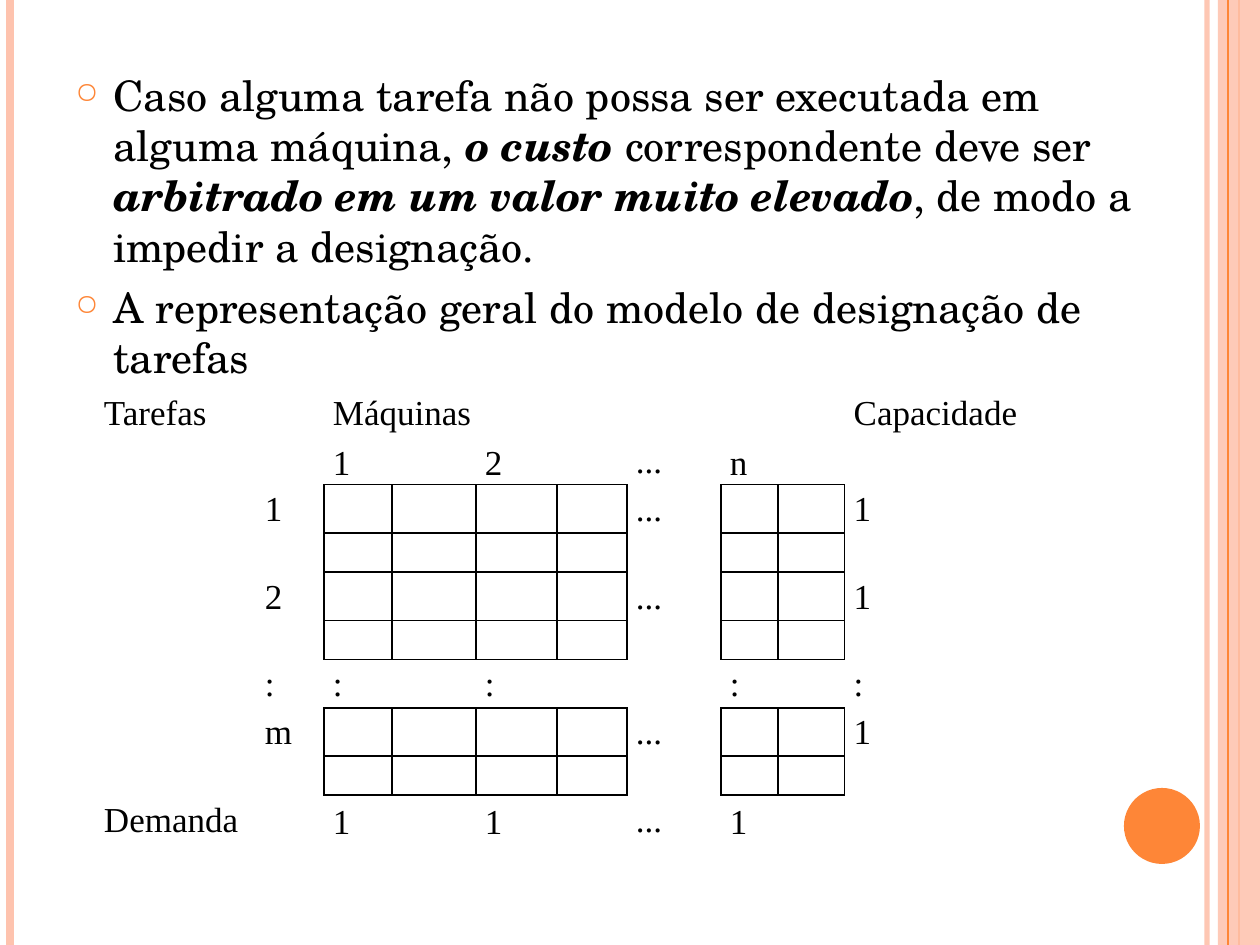
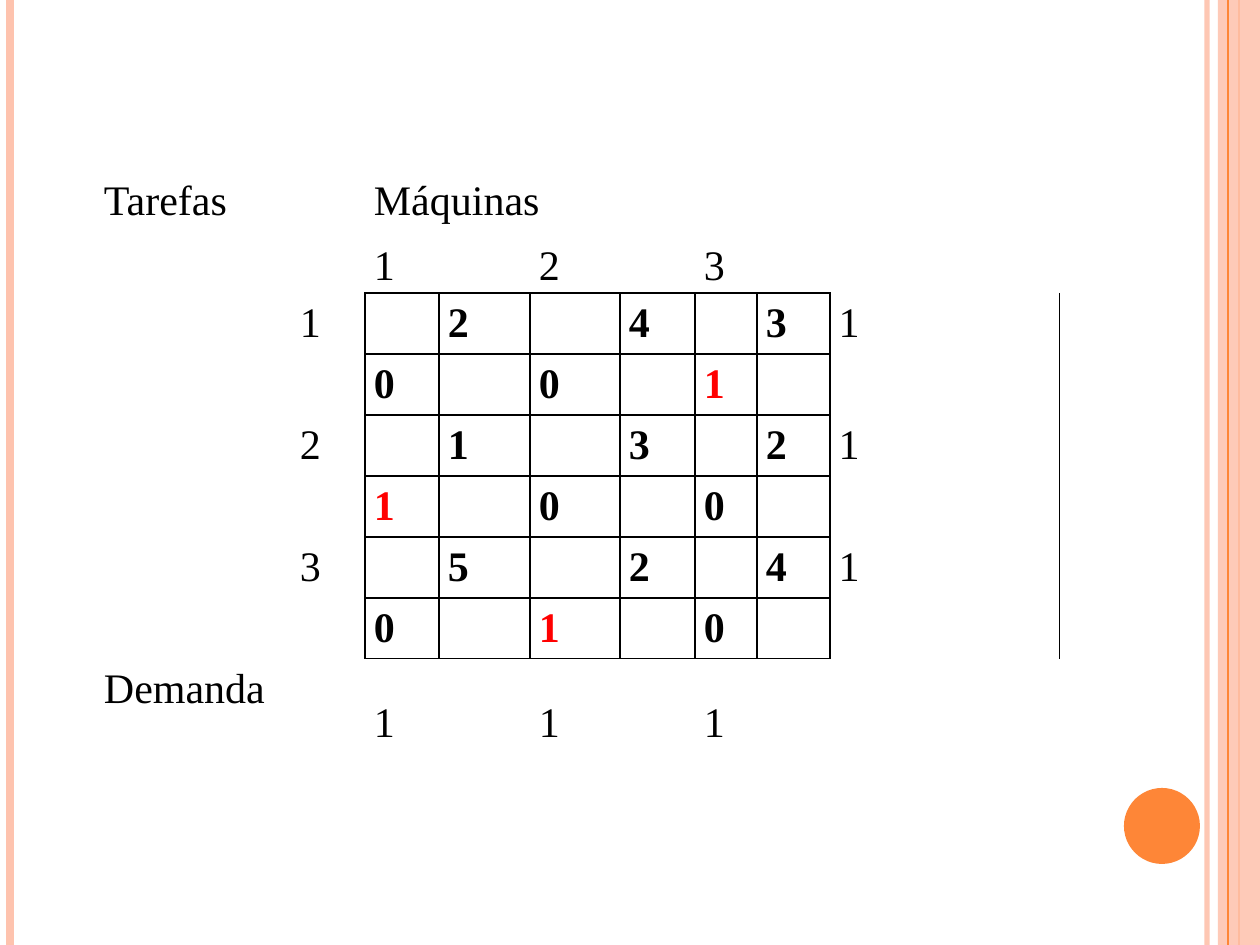
from collections import defaultdict

from pptx import Presentation
from pptx.dml.color import RGBColor
from pptx.enum.shapes import MSO_CONNECTOR, MSO_SHAPE
from pptx.enum.text import MSO_ANCHOR, PP_ALIGN
from pptx.oxml.ns import qn
from pptx.oxml.xmlchemy import OxmlElement
from pptx.util import Pt

EMU_PER_PX = 914400 / 126
WIDTH, HEIGHT = 1260, 945
PEACH, ORANGE, BLACK, RED = "FEC3AE", "FE8637", "000000", "FF0000"
BODY_FONT, TABLE_FONT = "TeX Gyre Schola", "Times New Roman"
PLAIN_TABLE_STYLE = "{2D5ABB26-0587-4C30-8999-92F81FD0307C}"
STRAIGHT = MSO_CONNECTOR.STRAIGHT
RECTANGLE, OVAL = MSO_SHAPE.RECTANGLE, MSO_SHAPE.OVAL
TOP, MIDDLE = MSO_ANCHOR.TOP, MSO_ANCHOR.MIDDLE
JUSTIFY = PP_ALIGN.JUSTIFY
TABLE_LEFT = 95
CELL_INSET = 9
SIDES = {"L": ("R", 0, -1), "R": ("L", 0, 1), "T": ("B", -1, 0), "B": ("T", 1, 0)}


def px(length):
    return round(length * EMU_PER_PX)


def color(value):
    return RGBColor.from_string(value)


def add_element(parent, tag, **attributes):
    element = OxmlElement(tag)
    for name, value in attributes.items():
        element.set(name, str(value))
    parent.append(element)
    return element


def set_opacity(shape, percent):
    for value in shape._element.spPr.iter(qn("a:srgbClr")):
        add_element(value, "a:alpha", val=percent * 1000)


def add_text(paragraph, text, font=TABLE_FONT, size=20, fill=BLACK, bold=False, italic=False):
    run = paragraph.add_run()
    run.text = text
    run.font.name = font
    run.font.size = Pt(size)
    run.font.color.rgb = color(fill)
    run.font.bold = bold
    run.font.italic = italic


def add_vertical_line(slide, x, width, fill, opacity=100):
    line = slide.shapes.add_connector(STRAIGHT, px(x), 0, px(x), px(HEIGHT))
    line.line.width = Pt(width)
    line.line.color.rgb = color(fill)
    add_element(line._element.spPr, "a:effectLst")
    if opacity < 100:
        set_opacity(line, opacity)


def add_filled_shape(slide, kind, left, top, width, height, fill, opacity=100):
    shape = slide.shapes.add_shape(kind, px(left), px(top), px(width), px(height))
    shape.shadow.inherit = False
    shape.fill.solid()
    shape.fill.fore_color.rgb = color(fill)
    shape.line.fill.background()
    if opacity < 100:
        set_opacity(shape, opacity)


def add_themed_slide(presentation):
    slide = presentation.slides.add_slide(presentation.slide_layouts[6])
    add_vertical_line(slide, 1207, 3, PEACH, opacity=93)
    add_vertical_line(slide, 10, 4.5, PEACH)
    add_vertical_line(slide, 1239, 1.5, ORANGE)
    add_filled_shape(slide, RECTANGLE, 1218, 0, 42, HEIGHT, PEACH, opacity=87)
    add_vertical_line(slide, 1228, 0.75, ORANGE)
    add_filled_shape(slide, OVAL, 1124, 788, 76, 76, ORANGE)
    return slide


def add_bullet(paragraph):
    paragraph.space_before = Pt(6)
    properties = paragraph._p.get_or_add_pPr()
    properties.set("marL", str(px(38)))
    properties.set("indent", str(px(-38)))
    bullet_color = add_element(properties, "a:buClr")
    add_element(bullet_color, "a:srgbClr", val=ORANGE)
    add_element(properties, "a:buSzPct", val=70000)
    add_element(properties, "a:buChar", char="○")


def add_bullet_list(slide, items):
    box = slide.shapes.add_textbox(px(63), px(63), px(1124), px(829))
    frame = box.text_frame
    frame.word_wrap = True
    for index, pieces in enumerate(items):
        paragraph = frame.add_paragraph() if index else frame.paragraphs[0]
        add_bullet(paragraph)
        for text, strong in pieces:
            add_text(paragraph, text, font=BODY_FONT, size=24, bold=strong, italic=strong)


def outline(edges, row, columns, sides):
    for column in columns:
        for side in sides:
            edges[row, column].add(side)
    for side in sides:
        opposite, down, across = SIDES[side]
        neighbours = {"L": columns[:1], "R": columns[-1:]}.get(side, columns)
        for column in neighbours:
            edges[row + down, column + across].add(opposite)


def block_edges(blocks, block_rows):
    edges = defaultdict(set)
    for row in block_rows:
        for block in blocks:
            left, corner = block[:-1], block[-1:]
            outline(edges, row, left, "LTR")
            outline(edges, row, corner, "LRTB")
            outline(edges, row + 1, left, "LB")
            outline(edges, row + 1, corner, "TRB")
    return edges


def set_borders(cell, sides):
    properties = cell._tc.get_or_add_tcPr()
    for position, side in enumerate(side for side in SIDES if side in sides):
        line = OxmlElement(f"a:ln{side}")
        line.set("w", str(Pt(1)))
        fill = add_element(line, "a:solidFill")
        add_element(fill, "a:srgbClr", val=BLACK)
        properties.insert(position, line)


def add_assignment_table(slide, top, widths, heights, texts, title_spans, blocks, block_rows, size):
    frame = slide.shapes.add_table(len(heights), len(widths), px(TABLE_LEFT), px(top),
                                   px(sum(widths)), px(sum(heights)))
    table = frame.table
    table.first_row = table.horz_banding = False
    table._tbl.tblPr.find(qn("a:tableStyleId")).text = PLAIN_TABLE_STYLE
    for column, width in zip(table.columns, widths):
        column.width = px(width)
    for row, height in zip(table.rows, heights):
        row.height = px(height)

    heading_rows = (1, len(heights) - 1)
    spans = [(0, first, last) for first, last in title_spans]
    for block in blocks:
        spans += [(row, block[0], block[-1]) for row in heading_rows]
        if len(block) > 2:
            spans += [(row + offset, block[0], block[-2])
                      for row in block_rows for offset in (0, 1)]
    for row, first, last in spans:
        table.cell(row, first).merge(table.cell(row, last))

    edges = block_edges(blocks, block_rows)
    block_starts = [block[0] for block in blocks]
    for row in range(len(heights)):
        for column in range(len(widths)):
            cell = table.cell(row, column)
            cell.margin_left = cell.margin_right = px(CELL_INSET)
            cell.margin_top = cell.margin_bottom = 0
            is_heading = row in heading_rows and column in block_starts
            cell.vertical_anchor = MIDDLE if is_heading else TOP
            cell.fill.background()
            set_borders(cell, edges[row, column])
            if (row, column) in texts:
                text, style = texts[row, column]
                paragraph = cell.text_frame.paragraphs[0]
                paragraph.alignment = JUSTIFY
                paragraph.line_spacing = 1.15
                add_text(paragraph, text, size=size, **style)


def plain_texts(rows):
    return {(row, column): (text, {})
            for row, cells in rows.items() for column, text in cells.items()}


def add_general_model(slide):
    blocks = [(2, 3), (4, 5), (7, 8)]
    block_rows = (2, 4, 7)
    rows = {
        0: {0: "Tarefas", 2: "Máquinas", 9: "Capacidade"},
        1: {2: "1", 4: "2", 6: "...", 7: "n"},
        6: {column: ":" for column in (1, 2, 4, 7, 9)},
        9: {0: "Demanda", 2: "1", 4: "1", 6: "...", 7: "1"},
    }
    for row, task in zip(block_rows, "12m"):
        rows[row] = {1: task, 6: "...", 9: "1"}
    heights = [39 if row - 1 in block_rows else 44 for row in range(10)]
    widths = [161, 68, 68, 84, 81, 70, 94, 57, 67, 213]
    add_assignment_table(slide, 388, widths, heights, plain_texts(rows), [(2, 8)],
                         blocks, block_rows, 20)


def add_solved_example(slide):
    blocks = [(2, 3), (4, 5, 6), (7, 8)]
    block_rows = (2, 4, 6)
    costs = ["243", "132", "524"]
    assignments = ["001", "100", "010"]
    rows = {
        0: {0: "Tarefas", 2: "Máquinas"},
        1: {2: "1", 4: "2", 7: "3"},
        8: {0: "Demanda", 2: "1", 4: "1", 7: "1"},
    }
    for row, task in zip(block_rows, "123"):
        rows[row] = {1: task, 9: "1"}
    texts = plain_texts(rows)
    for row, row_costs, row_assignments in zip(block_rows, costs, assignments):
        for block, cost, assigned in zip(blocks, row_costs, row_assignments):
            fill = RED if assigned == "1" else BLACK
            texts[row, block[-1]] = (cost, {"bold": True})
            texts[row + 1, block[0]] = (assigned, {"bold": True, "fill": fill})
    widths = [196, 74, 74, 91, 45, 45, 75, 62, 73, 230]
    add_assignment_table(slide, 171, widths, [61] * 8 + [122], texts, [(2, 4), (5, 9)],
                         blocks, block_rows, 24)


def main():
    presentation = Presentation()
    presentation.slide_width = px(WIDTH)
    presentation.slide_height = px(HEIGHT)

    general = add_themed_slide(presentation)
    add_bullet_list(general, [
        [("Caso alguma tarefa não possa ser executada em alguma máquina, ", False),
         ("o custo ", True),
         ("correspondente deve ser ", False),
         ("arbitrado em um valor muito elevado", True),
         (", de modo a impedir a designação.", False)],
        [("A representação geral do modelo de designação de tarefas", False)],
    ])
    add_general_model(general)

    add_solved_example(add_themed_slide(presentation))
    presentation.save("out.pptx")


if __name__ == "__main__":
    main()
